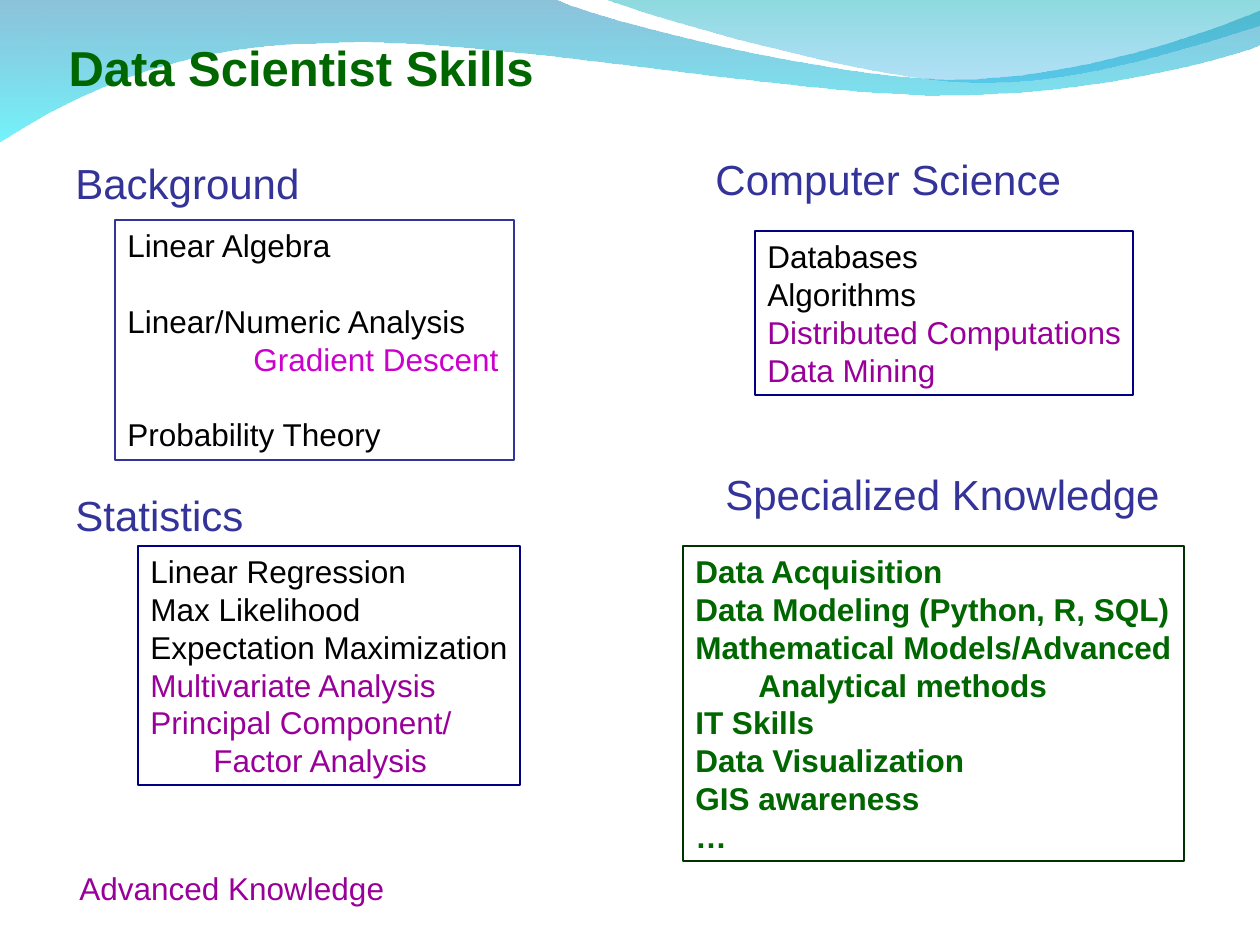
from lxml.etree import SubElement
from pptx import Presentation
from pptx.dml.color import RGBColor
from pptx.enum.shapes import MSO_SHAPE
from pptx.enum.text import MSO_ANCHOR, MSO_AUTO_SIZE, PP_ALIGN
from pptx.oxml.ns import qn
from pptx.util import Inches, Pt

PX = 914400 / 126
COLORS = {
    "title": "006600", "heading": "333399", "text": "000000",
    "advanced": "990099", "method": "CC00CC",
    "navy": "000080", "forest": "003300",
    "wave_blue": "0079AF", "wave_cyan": "00EBF8",
    "wave_teal": "00ADB6", "wave_sky": "009BE5",
}


def rgb(name):
    return RGBColor.from_string(COLORS[name])


def emu(*lengths):
    return [round(n * PX) for n in lengths]


def write(p, text, size=18, color="text", bold=False, indent=0, before=0):
    """Format one paragraph; indent is in px, before in points."""
    p.alignment = PP_ALIGN.LEFT
    p.line_spacing = Pt(size * 1.2)
    if before:
        p.space_before = Pt(before)
    if indent:
        p._p.get_or_add_pPr().set("marL", str(emu(indent)[0]))
    r = p.add_run()
    r.text = text
    r.font.name = "Arial"
    r.font.size = Pt(size)
    r.font.bold = bold
    r.font.color.rgb = rgb(color)


def set_frame(tf, wrap=False):
    tf.word_wrap = wrap
    tf.auto_size = MSO_AUTO_SIZE.NONE
    tf.vertical_anchor = MSO_ANCHOR.TOP
    tf.margin_left = tf.margin_right = Inches(0.1)
    tf.margin_top = tf.margin_bottom = Inches(0.05)


def add_title(s, box, text):
    sp = s.shapes.title
    sp.left, sp.top, sp.width, sp.height = emu(*box)
    set_frame(sp.text_frame)
    write(sp.text_frame.paragraphs[0], text, size=28, color="title", bold=True)


def add_label(s, box, text, **fmt):
    tf = s.shapes.add_textbox(*emu(*box)).text_frame
    set_frame(tf)
    write(tf.paragraphs[0], text, **fmt)


def add_skills(s, box, heading, heading_box, lines, line="navy", width=0.75, wrap=False):
    """Place a heading and its outlined list; heading_box is relative to box."""
    x, y, w, h = box
    dx, dy, hw, hh = heading_box
    add_label(s, (x + dx, y + dy, hw, hh), heading, size=24, color="heading")
    sp = s.shapes.add_shape(MSO_SHAPE.RECTANGLE, *emu(*box))
    sp.shadow.inherit = False
    sp.fill.background()
    sp.line.color.rgb = rgb(line)
    sp.line.width = Pt(width)
    tf = sp.text_frame
    set_frame(tf, wrap)
    for i, (text, fmt) in enumerate(lines):
        p = tf.add_paragraph() if i else tf.paragraphs[0]
        write(p, text, **fmt)


def make_curves(sp, segments):
    """Turn each run of three line ends that belongs to a curve into a Bezier."""
    ends = iter(list(sp.element.spPr.iter(qn("a:lnTo"))))
    for seg in segments:
        group = [next(ends) for _ in seg]
        if len(group) == 3:
            curve = group[0].getparent().makeelement(qn("a:cubicBezTo"))
            group[0].addprevious(curve)
            for end in group:
                curve.append(end[0])
                end.getparent().remove(end)


def add_wave(s, start, segments, stops):
    """Draw an outline of points and curves in px behind the title."""
    fb = s.shapes.build_freeform(*emu(*start), scale=1.0)
    fb.add_line_segments([emu(*pt) for seg in segments for pt in seg], close=True)
    sp = fb.convert_to_shape()
    make_curves(sp, segments)
    sp.shadow.inherit = False
    sp.line.fill.background()
    sp.fill.gradient()
    sp.fill.gradient_angle = 270
    for stop, (color, _) in zip(sp.fill.gradient_stops, stops):
        stop.color.rgb = rgb(color)
    for clr, (_, opacity) in zip(sp.element.spPr.iter(qn("a:srgbClr")), stops):
        SubElement(clr, qn("a:alpha")).set("val", str(opacity * 1000))
    s.shapes.title.element.addprevious(sp.element)


def add_waves(s):
    add_wave(s, (0, -1), [
        [(554, -1)],
        [(600, 21), (837, 79), (955, 79)],
        [(1075, 79), (1207, 33), (1260, 11)],
        [(1261, 45)],
        [(1239, 55), (1096, 96), (940, 95)],
        [(784, 95), (481, 35), (324, 43)],
        [(163, 44), (58, 105), (-1, 142)],
    ], [("wave_blue", 45), ("wave_cyan", 55)])
    add_wave(s, (604, -1), [
        [(641, 14), (859, 78), (969, 82)],
        [(1079, 87), (1211, 40), (1260, 26)],
        [(1260, 0)],
    ], [("wave_teal", 45), ("wave_sky", 30)])


def main():
    prs = Presentation()
    prs.slide_width, prs.slide_height = Inches(10), Inches(7.5)
    s = prs.slides.add_slide(prs.slide_layouts[5])
    add_waves(s)
    add_title(s, (56, 31, 491, 72), "Data Scientist Skills")

    plain, advanced = {}, {"color": "advanced"}
    special = {"color": "title", "bold": True}
    add_skills(s, (115, 220, 399, 240), "Background", (-52, -69, 249, 63), [
        ("Linear Algebra", plain),
        ("Linear/Numeric Analysis", {"before": 21.6}),
        ("Gradient Descent", {"color": "method", "indent": 126}),
        ("Probability Theory", {"before": 21.6}),
    ], line="heading", wrap=True)
    add_skills(s, (138, 546, 382, 239), "Statistics", (-75, -63, 193, 63), [
        ("Linear Regression", plain),
        ("Max Likelihood", plain),
        ("Expectation Maximization", plain),
        ("Multivariate Analysis", advanced),
        ("Principal Component/", advanced),
        ("Factor Analysis", {**advanced, "indent": 63}),
    ])
    add_skills(s, (755, 231, 378, 164), "Computer Science", (-52, -84, 371, 63), [
        ("Databases", plain),
        ("Algorithms", plain),
        ("Distributed Computations", advanced),
        ("Data Mining", advanced),
    ])
    add_skills(s, (683, 546, 501, 315), "Specialized Knowledge", (30, -84, 460, 63), [
        ("Data Acquisition", special),
        ("Data Modeling (Python, R, SQL)", special),
        ("Mathematical Models/Advanced", special),
        ("Analytical methods", {**special, "indent": 63}),
        ("IT Skills", special),
        ("Data Visualization", special),
        ("GIS awareness", special),
        ("…", special),
    ], line="forest", width=1)
    add_label(s, (67, 863, 331, 50), "Advanced Knowledge", **advanced)
    prs.save("out.pptx")


if __name__ == "__main__":
    main()
